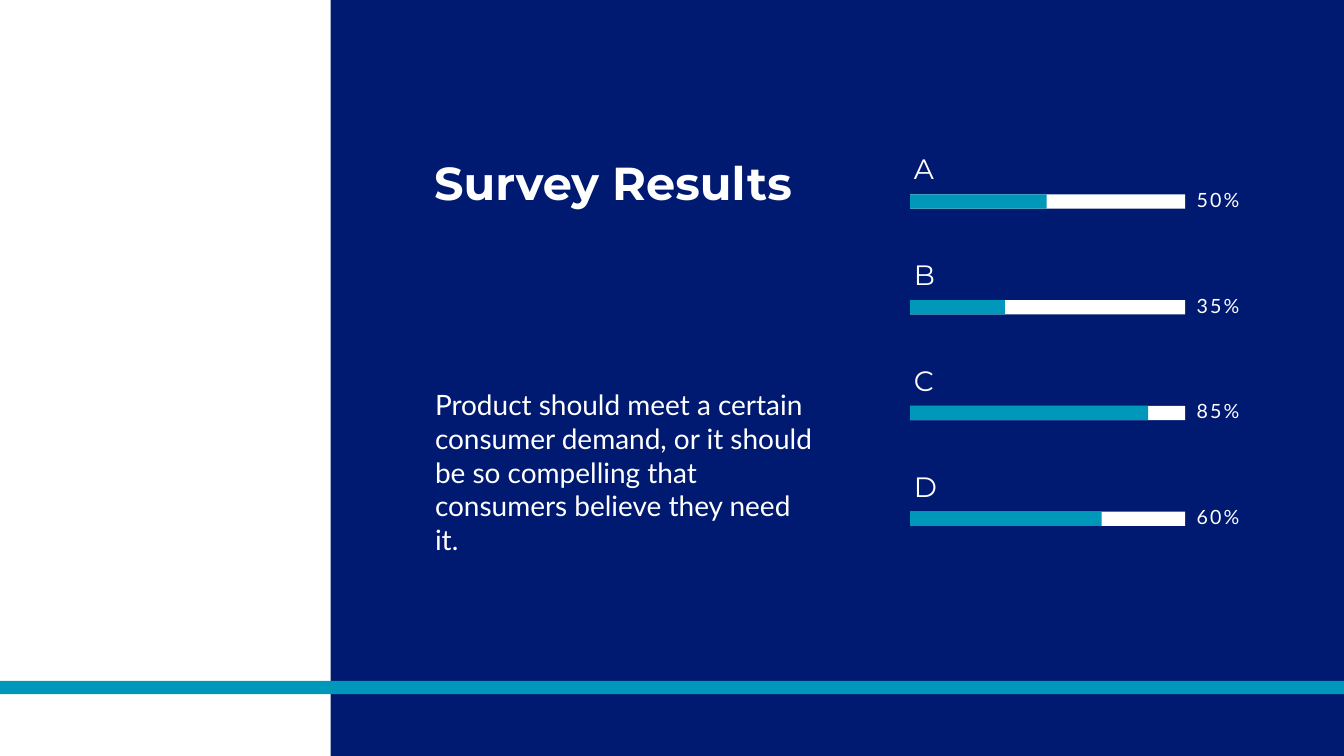
"""Build the survey results slide with four labelled percentage bars."""
from pptx import Presentation
from pptx.dml.color import RGBColor
from pptx.enum.shapes import MSO_SHAPE as Shape
from pptx.enum.text import MSO_ANCHOR as Anchor, MSO_AUTO_SIZE as AutoSize, PP_ALIGN as Align
from pptx.util import Cm, Pt

TITLE = "Survey Results"
MESSAGE = (
    "Product should meet a certain consumer demand, or it should be so "
    "compelling that consumers believe they need it."
)
ANSWERS = [
    ("A", "50%", 6.88),
    ("B", "35%", 4.78),
    ("C", "85%", 11.99),
    ("D", "60%", 9.65),
]

NAVY = RGBColor(0x00, 0x1A, 0x71)
TEAL = RGBColor(0x00, 0x98, 0xBA)
WHITE = RGBColor(0xFF, 0xFF, 0xFF)

SLIDE_W, SLIDE_H = 67.72, 38.1
PANEL_LEFT = 16.66
BAR_LEFT, BAR_W, BAR_H = 45.86, 13.86, 0.71
BAR_TOP, BAR_PITCH = 9.8, 5.33
LABEL_RISE, VALUE_RISE = 2.28, 0.47

TITLE_FONT = {"name": "Montserrat", "size": Pt(66), "bold": True}
MESSAGE_FONT = {"name": "Lato", "size": Pt(40)}
LABEL_FONT = {"name": "Montserrat", "size": Pt(40)}
VALUE_FONT = {"name": "Lato", "size": Pt(28)}


def add_block(slide, left, top, width, height, color):
    block = slide.shapes.add_shape(
        Shape.RECTANGLE, Cm(left), Cm(top), Cm(width), Cm(height)
    )
    block.shadow.inherit = False
    block.fill.solid()
    block.fill.fore_color.rgb = color
    block.line.fill.background()


def write(holder, wording, font_format, inset=(0.25, 0.13), tracking=None):
    frame = holder.text_frame
    side, edge = (Cm(length) for length in inset)
    frame_format = {
        "word_wrap": True,
        "auto_size": AutoSize.SHAPE_TO_FIT_TEXT,
        "vertical_anchor": Anchor.TOP,
        "margin_left": side,
        "margin_right": side,
        "margin_top": edge,
        "margin_bottom": edge,
    }
    for key, value in frame_format.items():
        setattr(frame, key, value)
    paragraph = frame.paragraphs[0]
    paragraph.alignment = Align.LEFT
    run = paragraph.add_run()
    run.text = wording
    for key, value in font_format.items():
        setattr(run.font, key, value)
    run.font.color.rgb = WHITE
    if tracking:
        run._r.get_or_add_rPr().set("spc", str(tracking))


def add_text(slide, left, top, width, height, wording, font_format, **options):
    box = slide.shapes.add_textbox(Cm(left), Cm(top), Cm(width), Cm(height))
    write(box, wording, font_format, **options)


def add_answer(slide, row, label, percent, filled):
    top = BAR_TOP + row * BAR_PITCH
    add_block(slide, BAR_LEFT, top, BAR_W, BAR_H, WHITE)
    add_block(slide, BAR_LEFT, top, filled, BAR_H, TEAL)
    add_text(slide, 45.8, top - LABEL_RISE, 7.44, 1.96, label, LABEL_FONT)
    add_text(slide, 60.05, top - VALUE_RISE, 3.84, 1.45, percent, VALUE_FONT, tracking=300)


def main():
    deck = Presentation()
    deck.slide_width, deck.slide_height = Cm(SLIDE_W), Cm(SLIDE_H)
    slide = deck.slides.add_slide(deck.slide_layouts[5])

    add_block(slide, PANEL_LEFT, 0, SLIDE_W - PANEL_LEFT, SLIDE_H, NAVY)
    for row, answer in enumerate(ANSWERS):
        add_answer(slide, row, *answer)

    title = slide.shapes.title
    place = {"left": 21.62, "top": 7.67, "width": 20.35, "height": 3.07}
    for key, value in place.items():
        setattr(title, key, Cm(value))
    write(title, TITLE, TITLE_FONT)
    slide.shapes._spTree.append(title._element)

    add_text(slide, 21.31, 19.25, 20.65, 7.44, MESSAGE, MESSAGE_FONT, inset=(0.61, 0.3))
    add_block(slide, 0, 34.32, SLIDE_W, 0.66, TEAL)
    deck.save("out.pptx")


if __name__ == "__main__":
    main()
